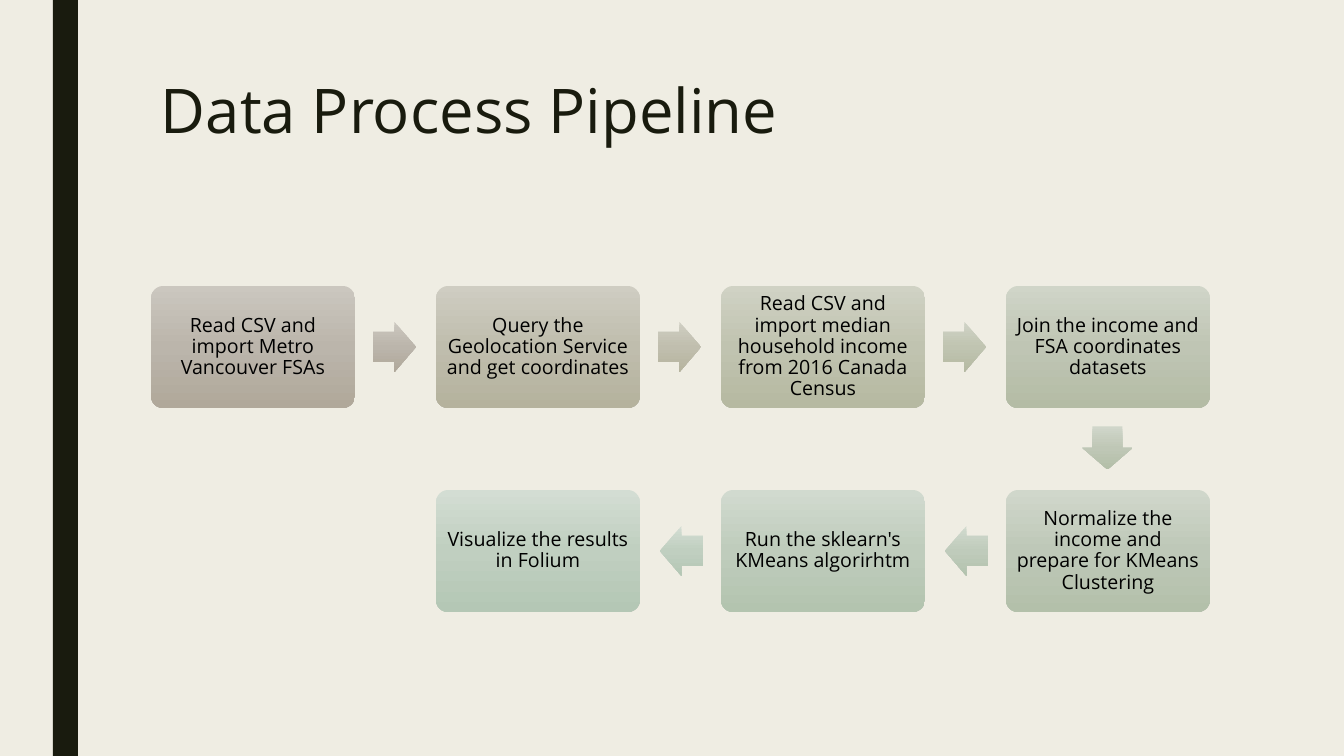
import copy

from pptx import Presentation
from pptx import util as u
from pptx.dml.color import RGBColor
from pptx.enum import shapes, text

PX = 914400 / 100.8
FONT = "Open Sans"
INK = "191B0E"
LEFT, TOP = 151, 286
COL_STEP, ROW_STEP = 285, 204
BOX_W, BOX_H = 204, 122
ARROW_W, ARROW_H = 43, 50

# Column, row, wording, gradient colours
STEPS = [
    (0, 0, "Read CSV and import Metro Vancouver FSAs", "CBC7BF BBB5AB B0A89A"),
    (1, 0, "Query the Geolocation Service and get coordinates", "CFCDC2 BFBDAD B5B29D"),
    (2, 0, "Read CSV and import median household income from 2016 Canada Census",
     "D0D2C4 C0C3B0 B6B9A1"),
    (3, 0, "Join the income and FSA coordinates datasets", "D0D5C8 BFC5B4 B4BCA5"),
    (3, 1, "Normalize the income and prepare for KMeans Clustering", "D0D7CB BEC8B8 B3C0AA"),
    (2, 1, "Run the sklearn's KMeans algorirhtm", "D1DACF BFCCBC B3C4AF"),
    (1, 1, "Visualize the results in Folium", "D3DDD3 C0CFC0 B4C7B5"),
]

# Gradient of the arrow that follows each step
ARROWS = [
    "CBC7BF BBB5AB B0A89A",
    "CFCEC2 C0BEAE B6B49E",
    "D0D3C6 C0C4B1 B5BAA2",
    "D0D6CA BFC7B6 B3BFA8",
    "D1DACE BFCBBB B3C3AE",
    "D3DDD3 C0CFC0 B4C7B5",
]

# Direction of travel: rotation and offset from the upper or left box
TURNS = {(1, 0): (0, 222, 36), (0, 1): (90, 80, 137), (-1, 0): (180, 224, 36)}


def px(n):
    return u.Emu(round(n * PX))


def color(value):
    return RGBColor.from_string(value)


def add_shape(s, kind, x, y, w, h, adjustments=()):
    sp = s.shapes.add_shape(kind, px(x), px(y), px(w), px(h))
    sp.shadow.inherit = False
    sp.line.fill.background()
    for i, value in enumerate(adjustments):
        sp.adjustments[i] = value
    return sp


def fill_gradient(sp, colors):
    """Three even stops from top to bottom, kept upright when the shape turns."""
    sp.fill.gradient()
    sp.fill.gradient_angle = 270
    grad = sp.fill._fill._gradFill
    grad.set("rotWithShape", "0")
    first = grad.gsLst[0]
    first.addnext(copy.deepcopy(first))
    for i, (stop, value) in enumerate(zip(sp.fill.gradient_stops, colors.split())):
        stop.position = i / 2
        stop.color.rgb = color(value)


def set_text(tf, words, size, ink, spacing, align):
    tf.word_wrap = True
    tf.text = words
    p = tf.paragraphs[0]
    p.alignment = align
    p.line_spacing = spacing
    font = p.runs[0].font
    font.name, font.size, font.color.rgb = FONT, u.Pt(size), color(ink)


def add_step(s, col, row, words, colors):
    sp = add_shape(s, shapes.MSO_SHAPE.ROUNDED_RECTANGLE, LEFT + col * COL_STEP,
                   TOP + row * ROW_STEP, BOX_W, BOX_H, [0.1])
    fill_gradient(sp, colors)
    tf = sp.text_frame
    tf.margin_left = tf.margin_right = tf.margin_top = tf.margin_bottom = px(6)
    tf.vertical_anchor = text.MSO_ANCHOR.MIDDLE
    set_text(tf, words, 14, "000000", 0.9, text.PP_ALIGN.CENTER)


def add_arrow(s, start, end, colors):
    turn = end[0] - start[0], end[1] - start[1]
    rotation, dx, dy = TURNS[turn]
    x = LEFT + min(start[0], end[0]) * COL_STEP + dx
    y = TOP + start[1] * ROW_STEP + dy
    sp = add_shape(s, shapes.MSO_SHAPE.RIGHT_ARROW, x, y, ARROW_W, ARROW_H, [0.6, 0.5])
    fill_gradient(sp, colors)
    sp.rotation = rotation


def add_title(s, words):
    box = s.shapes.add_textbox(px(151), px(76), px(1058), px(163))
    set_text(box.text_frame, words, 44, INK, 0.89, text.PP_ALIGN.LEFT)


def main():
    prs = Presentation()
    prs.slide_width, prs.slide_height = px(1344), px(756)
    s = prs.slides.add_slide(prs.slide_layouts[6])

    # Background and side bar
    s.background.fill.solid()
    s.background.fill.fore_color.rgb = color("EFEDE3")
    bar = add_shape(s, shapes.MSO_SHAPE.RECTANGLE, 53, 0, 25, 756)
    bar.fill.solid()
    bar.fill.fore_color.rgb = color(INK)

    add_title(s, "Data Process Pipeline")

    # Pipeline: each step, then the arrow to the next
    for i, step in enumerate(STEPS):
        add_step(s, *step)
        if i < len(ARROWS):
            add_arrow(s, step[:2], STEPS[i + 1][:2], ARROWS[i])

    prs.save("out.pptx")


main()
